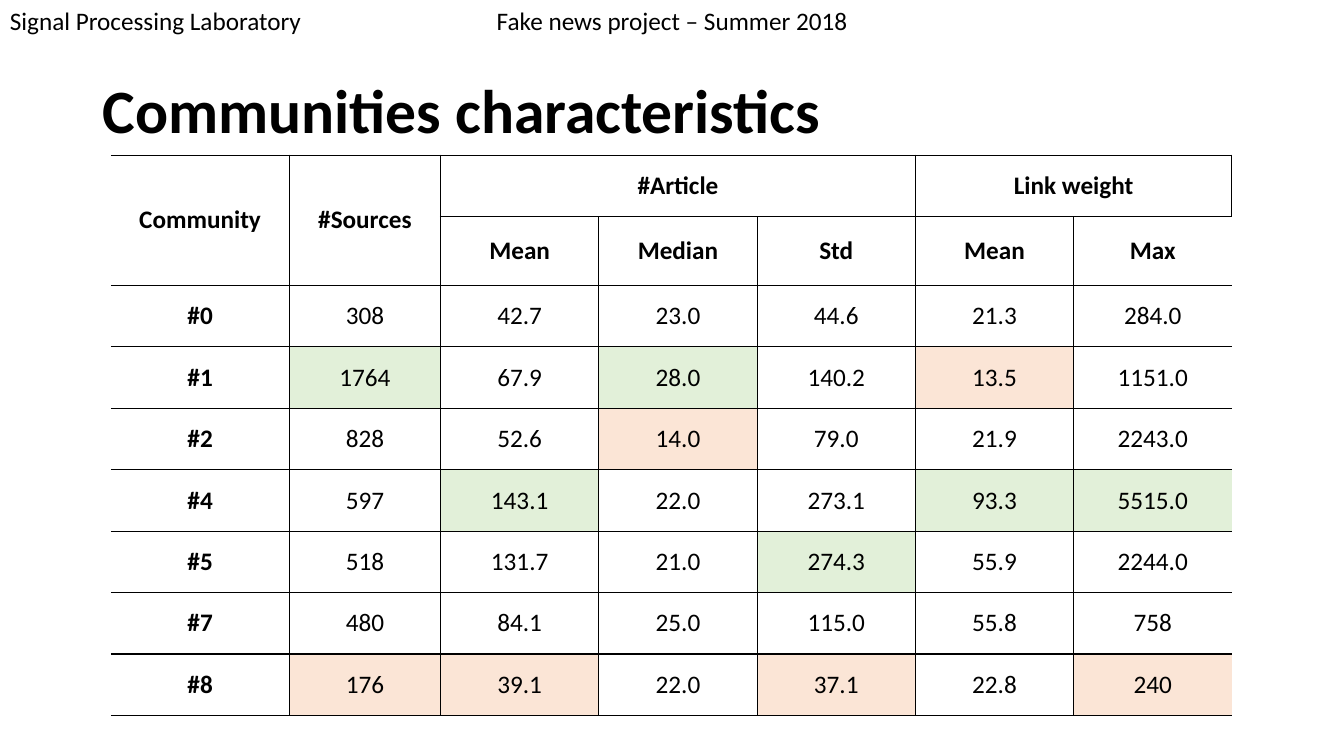
import pptx
import pptx.util
import pptx.dml.color
import pptx.enum.text
import pptx.oxml.ns
import lxml.etree

Inches, Pt = pptx.util.Inches, pptx.util.Pt
RGBColor = pptx.dml.color.RGBColor
ALIGN = pptx.enum.text.PP_ALIGN
MIDDLE = pptx.enum.text.MSO_ANCHOR.MIDDLE
NO_FIT = pptx.enum.text.MSO_AUTO_SIZE.NONE
qn = pptx.oxml.ns.qn

BLACK = RGBColor(0x00, 0x00, 0x00)
WHITE = RGBColor(0xFF, 0xFF, 0xFF)
GREEN = RGBColor(0xE2, 0xF0, 0xD9)
ORANGE = RGBColor(0xFB, 0xE5, 0xD6)

HEADERS = [["Community", "#Sources", "#Article", "", "", "Link weight", ""],
           ["", "", "Mean", "Median", "Std", "Mean", "Max"]]
COMMUNITIES = [
    ["#0", "308", "42.7", "23.0", "44.6", "21.3", "284.0"],
    ["#1", "1764", "67.9", "28.0", "140.2", "13.5", "1151.0"],
    ["#2", "828", "52.6", "14.0", "79.0", "21.9", "2243.0"],
    ["#4", "597", "143.1", "22.0", "273.1", "93.3", "5515.0"],
    ["#5", "518", "131.7", "21.0", "274.3", "55.9", "2244.0"],
    ["#7", "480", "84.1", "25.0", "115.0", "55.8", "758"],
    ["#8", "176", "39.1", "22.0", "37.1", "22.8", "240"],
]
COL_WIDTHS = [1.77, 1.5] + [1.57] * 5
ROW_HEIGHTS = [0.61, 0.68] + [0.61] * len(COMMUNITIES)
MERGES = [((0, 0), (1, 0)), ((0, 1), (1, 1)), ((0, 2), (0, 4)), ((0, 5), (0, 6))]


def write(tf, text, size=18, bold=False, align=ALIGN.LEFT, font="Calibri", color=BLACK):
    p = tf.paragraphs[0]
    p.alignment = align
    r = p.add_run()
    r.text = text
    r.font.name, r.font.size, r.font.bold = font, Pt(size), bold
    r.font.color.rgb = color
    return p


def extreme_fill(row, col):
    """Green for the largest value of a column, orange for the smallest."""
    if row < len(HEADERS) or col == 0:
        return WHITE
    values = [float(line[col]) for line in COMMUNITIES]
    value = values[row - len(HEADERS)]
    return {max(values): GREEN, min(values): ORANGE}.get(value, WHITE)


class Deck:
    def __init__(self):
        self.prs = pptx.Presentation()
        self.prs.slide_width, self.prs.slide_height = Inches(13.33), Inches(7.5)
        self.s = self.prs.slides.add_slide(self.prs.slide_layouts[5])

    def title(self, text, x, y, w, h):
        sp = self.s.shapes.title
        sp.left, sp.top, sp.width, sp.height = map(Inches, (x, y, w, h))
        tf = sp.text_frame
        tf.auto_size, tf.vertical_anchor = NO_FIT, MIDDLE
        write(tf, text, size=44, bold=True).line_spacing = 0.9

    def label(self, text, x, y, w, h, align=ALIGN.LEFT):
        tf = self.s.shapes.add_textbox(*map(Inches, (x, y, w, h))).text_frame
        tf.word_wrap = True
        write(tf, text, align=align)

    def border(self, cell, sides, color=BLACK):
        tc_pr = cell._tc.get_or_add_tcPr()
        for side in "LRTB":
            ln = lxml.etree.SubElement(tc_pr, qn("a:ln" + side), w=str(Pt(1)))
            if side in sides:
                fill = lxml.etree.SubElement(ln, qn("a:solidFill"))
                lxml.etree.SubElement(fill, qn("a:srgbClr"), val=str(color))
            else:
                lxml.etree.SubElement(ln, qn("a:noFill"))

    def table(self, rows, x, y, widths, heights, merges, fill_rule):
        size = map(Inches, (x, y, sum(widths), sum(heights)))
        tbl = self.s.shapes.add_table(len(rows), len(widths), *size).table
        tbl.first_row = tbl.horz_banding = False
        for column, width in zip(tbl.columns, widths):
            column.width = Inches(width)
        for row, height in zip(tbl.rows, heights):
            row.height = Inches(height)
        for start, end in merges:
            tbl.cell(*start).merge(tbl.cell(*end))
        last = len(widths) - 1
        for i, line in enumerate(rows):
            for j, text in enumerate(line):
                cell = tbl.cell(i, j)
                # The outer left and right edges stay open
                self.border(cell, "TB" + "L" * (j > 0) + "R" * (j < last))
                cell.fill.solid()
                cell.fill.fore_color.rgb = fill_rule(i, j)
                cell.vertical_anchor = MIDDLE
                if text:
                    bold = i < len(HEADERS) or j == 0
                    write(cell.text_frame, text, bold=bold, align=ALIGN.CENTER)


deck = Deck()

# Page header
deck.label("Fake news project – Summer 2018", 4.49, 0, 4.35, 0.4, align=ALIGN.CENTER)
deck.label("Signal Processing Laboratory", 0, 0, 3.26, 0.4)

# Title
deck.title("Communities characteristics", 0.92, 0.4, 11.5, 1.45)

# Community table
deck.table(HEADERS + COMMUNITIES, 1.1, 1.54, COL_WIDTHS, ROW_HEIGHTS, MERGES, extreme_fill)

deck.prs.save("out.pptx")
